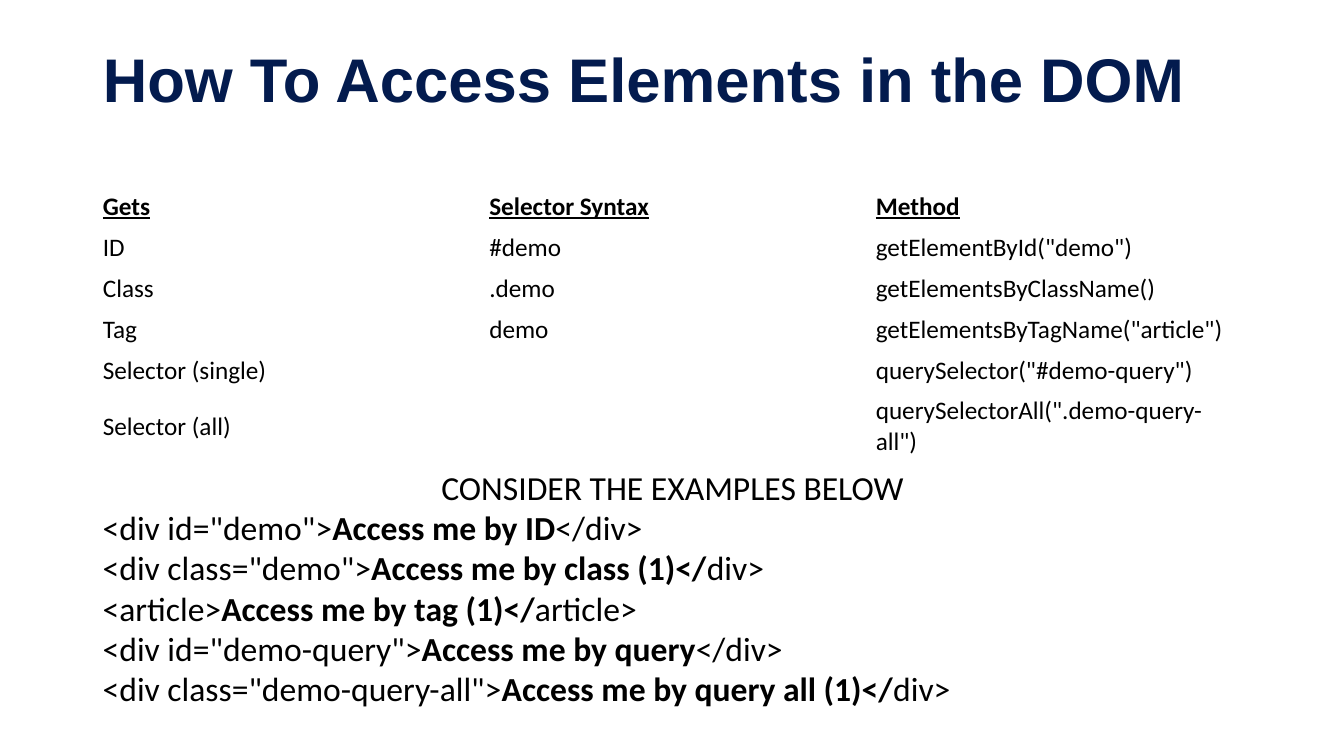
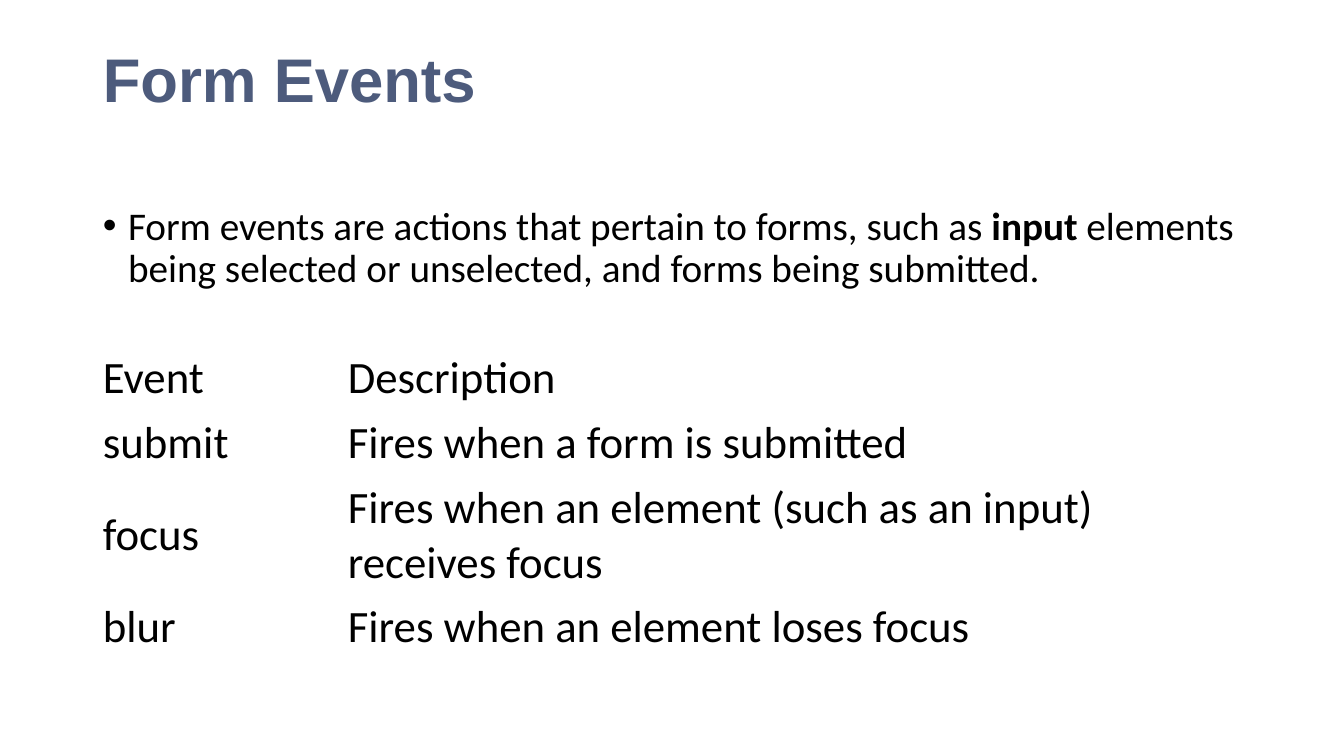
"""Builds two slides on reaching DOM elements and on form events."""
import pptx
import pptx.dml.color
import pptx.enum.text
import pptx.oxml
import pptx.oxml.ns
import pptx.util

Inches = pptx.util.Inches
TITLE_FONT, TEXT_FONT = "Arial", "Calibri"
NAVY, SLATE, BLACK = "031B4E", "4D5B7C", "000000"
LEFT, WIDTH = 0.92, 11.5
TITLE_TOP, TITLE_HEIGHT = 0.4, 1.45
TITLE_ONLY, TITLE_AND_CONTENT = 5, 1

ACCESS_TITLE = "How To Access Elements in the DOM"
ACCESS_ROWS = [
    ("Gets", "Selector Syntax", "Method"),
    ("ID", "#demo", 'getElementById("demo")'),
    ("Class", ".demo", "getElementsByClassName()"),
    ("Tag", "demo", 'getElementsByTagName("article")'),
    ("Selector (single)", "", 'querySelector("#demo-query")'),
    ("Selector (all)", "", 'querySelectorAll(".demo-query-all")'),
]
EXAMPLES_HEADING = "CONSIDER THE EXAMPLES BELOW"
EXAMPLES = [
    ('<div id="demo">', "Access me by ID", "</div>"),
    ('<div class="demo">', "Access me by class (1)</", "div>"),
    ("<article>", "Access me by tag (1)</", "article>"),
    ('<div id="demo-query">', "Access me by query", "</div>"),
    ('<div class="demo-query-all">', "Access me by query all (1)</", "div>"),
]

EVENTS_TITLE = "Form Events"
EVENTS_INTRO = (
    "Form events are actions that pertain to forms, such as ",
    "input",
    " elements being selected or unselected, and forms being submitted.",
)
EVENT_ROWS = [
    ("Event", "Description"),
    ("submit", "Fires when a form is submitted"),
    ("focus", "Fires when an element (such as an input) receives focus"),
    ("blur", "Fires when an element loses focus"),
]


def color(value):
    return pptx.dml.color.RGBColor.from_string(value)


def add_run(paragraph, text, size, bold=False, underline=False, name=TEXT_FONT, fill=BLACK):
    run = paragraph.add_run()
    run.text = text
    font = run.font
    font.name, font.size = name, pptx.util.Pt(size)
    font.bold, font.underline = bold, underline
    font.color.rgb = color(fill)


def add_marked_runs(paragraph, parts, size):
    for index, part in enumerate(parts):
        add_run(paragraph, part, size, bold=index == 1)


def place(shape, top, height):
    shape.left, shape.top = Inches(LEFT), Inches(top)
    shape.width, shape.height = Inches(WIDTH), Inches(height)
    frame = shape.text_frame
    frame.word_wrap = True
    frame.auto_size = pptx.enum.text.MSO_AUTO_SIZE.NONE
    frame.vertical_anchor = pptx.enum.text.MSO_ANCHOR.TOP
    return frame


def add_slide(presentation, layout, title, fill):
    slide = presentation.slides.add_slide(presentation.slide_layouts[layout])
    frame = place(slide.shapes.title, TITLE_TOP, TITLE_HEIGHT)
    frame.margin_top = Inches(0.09)
    paragraph = frame.paragraphs[0]
    paragraph.alignment = pptx.enum.text.PP_ALIGN.LEFT
    paragraph.line_spacing = 0.9
    add_run(paragraph, title, 44, bold=True, name=TITLE_FONT, fill=fill)
    return slide


def add_plain_table(slide, rows, top, widths, heights, size, strong_header=False):
    frame = slide.shapes.add_table(
        len(rows), len(widths), Inches(LEFT), Inches(top), Inches(WIDTH), Inches(sum(heights)))
    table = frame.table
    table.first_row = table.horz_banding = False
    for column, width in zip(table.columns, widths):
        column.width = Inches(width)
    for row_index, (row, height) in enumerate(zip(rows, heights)):
        table.rows[row_index].height = Inches(height)
        strong = strong_header and row_index == 0
        for column_index, text in enumerate(row):
            cell = table.cell(row_index, column_index)
            cell.fill.background()
            cell.vertical_anchor = pptx.enum.text.MSO_ANCHOR.MIDDLE
            if text:
                add_run(cell.text_frame.paragraphs[0], text, size, strong, strong)


def set_bullet(paragraph, indent):
    properties = paragraph._p.get_or_add_pPr()
    properties.set("marL", str(Inches(indent)))
    properties.set("indent", str(-Inches(indent)))
    bullet = pptx.oxml.parse_xml(
        '<a:buChar %s char="•"/>' % pptx.oxml.ns.nsdecls("a"))
    properties.append(bullet)


def build_access_slide(presentation):
    slide = add_slide(presentation, TITLE_ONLY, ACCESS_TITLE, NAVY)
    add_plain_table(slide, ACCESS_ROWS, 1.85, [WIDTH / 3] * 3, [0.4] * 5 + [0.7], 18,
                    strong_header=True)
    box = slide.shapes.add_textbox(0, 0, 0, 0)
    frame = place(box, 4.58, 2.52)
    frame.auto_size = pptx.enum.text.MSO_AUTO_SIZE.SHAPE_TO_FIT_TEXT
    heading = frame.paragraphs[0]
    heading.alignment = pptx.enum.text.PP_ALIGN.CENTER
    add_run(heading, EXAMPLES_HEADING, 24)
    for example in EXAMPLES:
        add_marked_runs(frame.add_paragraph(), example, 24)


def build_events_slide(presentation):
    slide = add_slide(presentation, TITLE_AND_CONTENT, EVENTS_TITLE, SLATE)
    paragraph = place(slide.placeholders[1], 2, 4.76).paragraphs[0]
    paragraph.line_spacing = 0.9
    paragraph.space_before = pptx.util.Pt(10)
    set_bullet(paragraph, 0.25)
    add_marked_runs(paragraph, EVENTS_INTRO, 28)
    add_plain_table(slide, EVENT_ROWS, 3.43, [2.43, 9.07], [0.63, 0.63, 1.18, 0.63], 32)


def main():
    presentation = pptx.Presentation()
    presentation.slide_width, presentation.slide_height = Inches(13.33), Inches(7.5)
    build_access_slide(presentation)
    build_events_slide(presentation)
    presentation.save("out.pptx")


if __name__ == "__main__":
    main()
